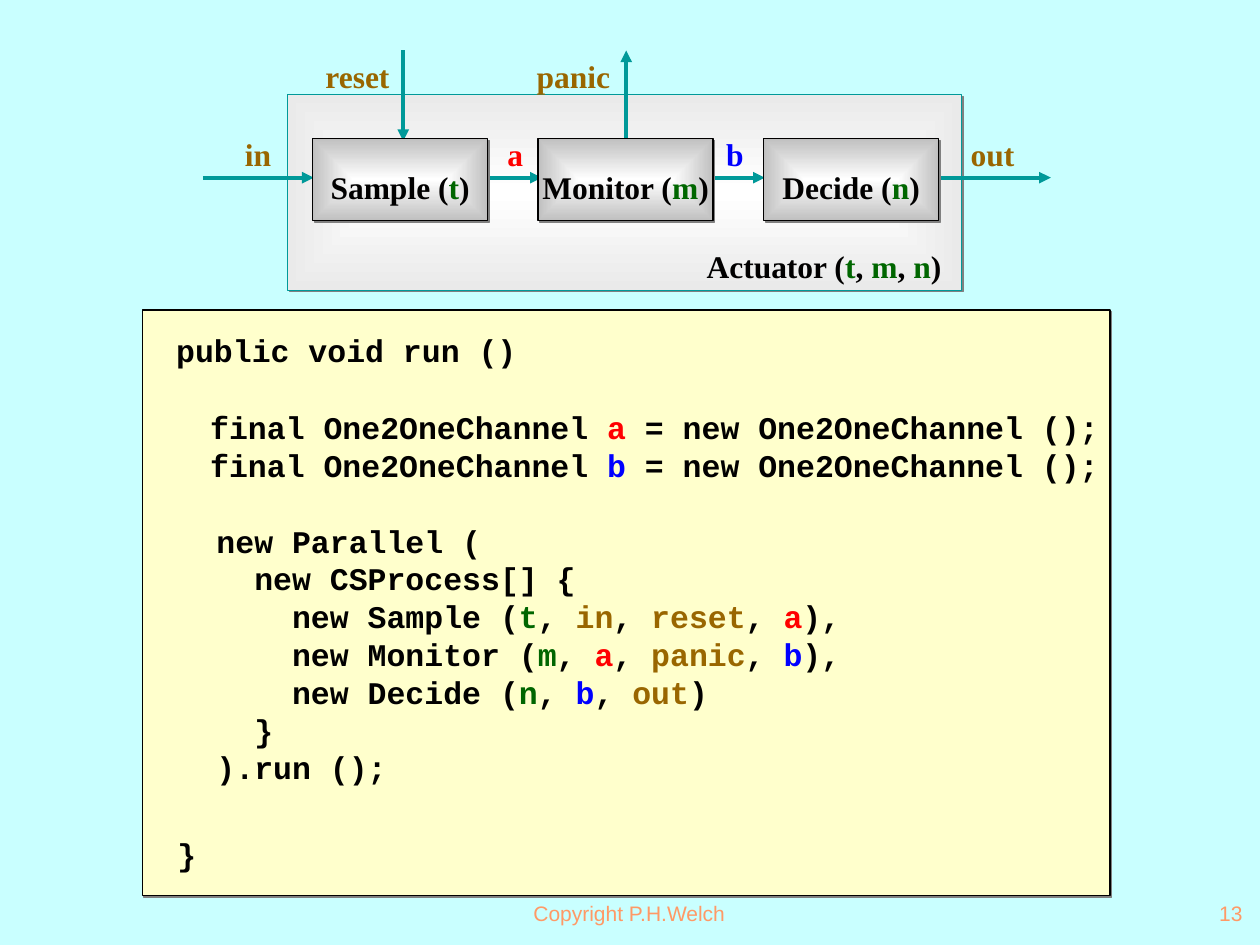
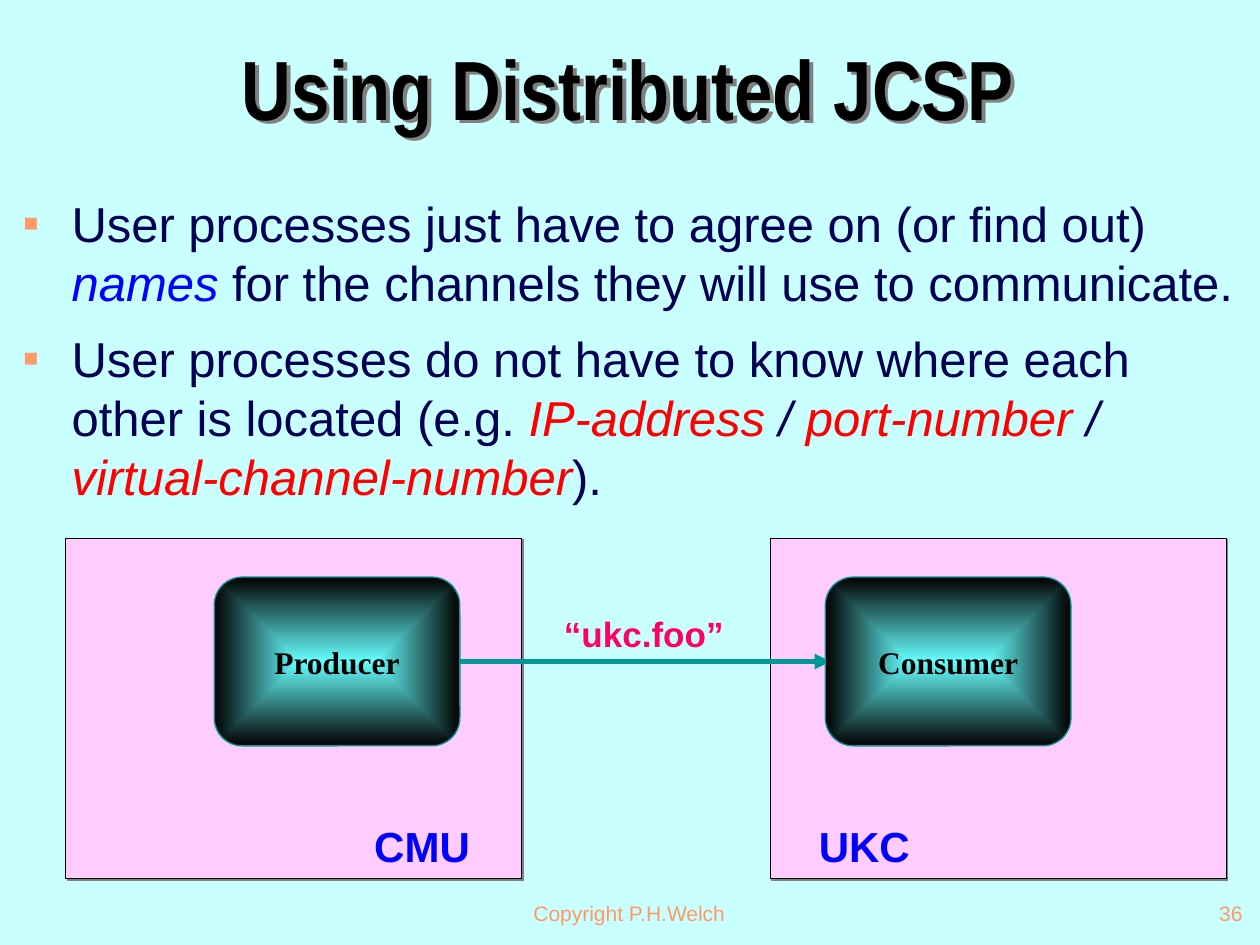
from lxml import etree
from pptx import Presentation
from pptx.dml.color import RGBColor
from pptx.enum import shapes, text
from pptx.oxml import ns, parse_xml
from pptx.util import Inches, Pt

COLOURS = {
    "sky": "C9FFFF", "ink": "010000", "teal": "009999", "orange": "FF9966",
    "green": "006600", "brown": "996600", "red": "FF0000", "blue": "0000FF",
    "navy": "000055", "pink": "FFCCFF", "magenta": "FF0066", "cream": "FFFFCC",
    "white": "FFFFFF", "mist": "EAEAEA", "silver": "C0C0C0", "cyan": "66FFFF",
    "shade": "808080",
}
SERIF, SANS, NARROW, MONO = "Times New Roman", "Arial", "Arial Narrow", "Courier New"
LEFT, CENTRE, RIGHT = text.PP_ALIGN.LEFT, text.PP_ALIGN.CENTER, text.PP_ALIGN.RIGHT
COPYRIGHT = "Copyright P.H.Welch"

# Words between bars take the colour listed here.
WORD_COLOURS = {
    "t": "green", "m": "green", "n": "green", "a": "red", "b": "blue",
    "in": "brown", "out": "brown", "reset": "brown", "panic": "brown",
    "names": "blue", "IP-address": "red", "port-number": "red",
    "virtual-channel-number": "red",
}

# Slide 13: the actuator network and its code
ACTUATOR = (2.28, 0.75, 5.35, 1.55)
ACTUATOR_NAME = "Actuator (|t|, |m|, |n|)"
STAGES = ["Sample (|t|)", "Monitor (|m|)", "Decide (|n|)"]
STAGE_LEFT, STAGE_TOP, STAGE_STEP, STAGE_SIZE = 2.48, 1.1, 1.79, (1.39, 0.65)
FLOW_Y = 1.41
FLOWS = [(1.61, 2.49), (3.86, 4.3), (5.63, 6.07), (7.31, 8.34)]
CONTROLS = [((3.2, 0.4), (3.2, 1.12)), ((4.97, 1.23), (4.97, 0.4))]
CHANNELS = [  # name, left, top, width
    ("in", 1.84, 1.02, 0.41), ("a", 3.92, 1.02, 0.33), ("b", 5.66, 1.02, 0.34),
    ("out", 7.6, 1.02, 0.55), ("reset", 2.47, 0.4, 0.72), ("panic", 4.15, 0.4, 0.79),
]
LISTING = (1.13, 2.46, 7.68, 4.65)
CODE_WIDTH = 8
CODE = [  # left, top, lines
    (1.3, 2.58, ["public void run ()"]),
    (1.27, 3.19, [
        "  final One2OneChannel |a| = new One2OneChannel ();",
        "  final One2OneChannel |b| = new One2OneChannel ();",
    ]),
    (1.32, 4.09, [
        "  new Parallel (",
        "    new CSProcess[] {",
        "      new Sample (|t|, |in|, |reset|, |a|),",
        "      new Monitor (|m|, |a|, |panic|, |b|),",
        "      new Decide (|n|, |b|, |out|)",
        "    }",
        "  ).run ();",
    ]),
    (1.31, 6.58, ["}"]),
]

# Slide 36: two sites joined by a named channel
TITLE = "Using Distributed JCSP"
BULLETS = [  # top, height, words
    (1.49, 1.22, "User processes just have to agree on (or find out) |names| "
                 "for the channels they will use to communicate."),
    (2.56, 1.55, "User processes do not have to know where each other is located (e.g. "
                 "|IP-address|| / ||port-number|| / ||virtual-channel-number|)."),
]
SITES = [  # site, its left, its name's left, process, process's left
    ("CMU", 0.52, 2.82, "Producer", 1.7),
    ("UKC", 6.11, 6.33, "Consumer", 6.55),
]
LINK_NAME = "“ukc.foo”"


def rgb(name):
    return RGBColor.from_string(COLOURS[name])


def inches(*lengths):
    return [Inches(length) for length in lengths]


def drawing(markup):
    """Parse markup, adding the drawing namespace to its first tag."""
    return parse_xml(markup.replace(">", f" {ns.nsdecls('a')}>", 1))


def shadow_effect(distance):
    return drawing(
        f'<a:effectLst><a:outerShdw dist="{Pt(distance)}" dir="2700000" algn="ctr" '
        f'rotWithShape="0"><a:srgbClr val="{COLOURS["shade"]}"/></a:outerShdw></a:effectLst>')


def write(frame, lines, size, font, colour="ink", bold=True, align=LEFT, italic=False):
    """Fill a text frame, one paragraph a line, colouring the words between bars."""
    for number, line in enumerate(lines):
        paragraph = frame.add_paragraph() if number else frame.paragraphs[0]
        paragraph.alignment = align
        for position, words in enumerate(line.split("|")):
            if not words:
                continue
            marked = position % 2 == 1
            run = paragraph.add_run()
            run.text = words
            run.font.size, run.font.name, run.font.bold = Pt(size), font, bold
            run.font.italic = italic and marked
            run.font.color.rgb = rgb(WORD_COLOURS.get(words, colour) if marked else colour)


def add_label(slide, box, lines, size=18, font=SERIF, wrap=False, middle=False, **style):
    label = slide.shapes.add_textbox(*inches(*box))
    frame = label.text_frame
    frame.word_wrap = wrap
    if middle:
        frame.vertical_anchor = text.MSO_ANCHOR.MIDDLE
    write(frame, lines, size, font, **style)
    return label


def add_block(slide, box, fill, line, width, rounded=False, shadow=True):
    """Add a box; a pair of fill colours makes a gradient from centre to edge."""
    kind = shapes.MSO_SHAPE.ROUNDED_RECTANGLE if rounded else shapes.MSO_SHAPE.RECTANGLE
    block = slide.shapes.add_shape(kind, *inches(*box))
    block.line.color.rgb, block.line.width = rgb(line), Pt(width)
    block.shadow.inherit = False
    properties = block._element.spPr
    if isinstance(fill, tuple):
        centre, edge = (COLOURS[name] for name in fill)
        properties.find(ns.qn("a:prstGeom")).addnext(drawing(
            f'<a:gradFill><a:gsLst><a:gs pos="0"><a:srgbClr val="{centre}"/></a:gs>'
            f'<a:gs pos="100000"><a:srgbClr val="{edge}"/></a:gs></a:gsLst>'
            '<a:path path="rect"><a:fillToRect l="50000" t="50000" r="50000" b="50000"/>'
            '</a:path></a:gradFill>'))
    else:
        block.fill.solid()
        block.fill.fore_color.rgb = rgb(fill)
    if shadow:
        properties.replace(properties.find(ns.qn("a:effectLst")), shadow_effect(1.4))
    return block


def name_block(block, name, top_inset=0.05):
    frame = block.text_frame
    frame.word_wrap = False
    frame.margin_top = Inches(top_inset)
    frame.vertical_anchor = text.MSO_ANCHOR.MIDDLE
    write(frame, [name], 18, SERIF, align=CENTRE)


def add_arrow(slide, start, end, width=2.25):
    arrow = slide.shapes.add_connector(
        shapes.MSO_CONNECTOR.STRAIGHT, *inches(*start, *end))
    arrow.line.color.rgb, arrow.line.width = rgb("teal"), Pt(width)
    etree.SubElement(arrow.line._get_or_add_ln(), ns.qn("a:tailEnd"), type="triangle")
    etree.SubElement(arrow._element.spPr, ns.qn("a:effectLst"))


def add_title(slide, words):
    """Add the title; its box has no fill, so the letters cast the shadow."""
    title = add_label(slide, (0.24, 0.27, 9.49, 1.03), [words], 48, NARROW,
                      wrap=True, middle=True, align=CENTRE)
    title.text_frame.paragraphs[0].line_spacing = 0.7
    title._element.spPr.append(shadow_effect(3))


def add_bullet(slide, top, height, words):
    bullet = add_label(slide, (0.09, top, 9.87, height), [words], 28, SANS, wrap=True,
                       colour="navy", bold=False, italic=True)
    properties = bullet.text_frame.paragraphs[0]._p.get_or_add_pPr()
    properties.set("marL", str(Inches(0.38)))
    properties.set("indent", str(-Inches(0.38)))
    for markup in (f'<a:buClr><a:srgbClr val="{COLOURS["orange"]}"/></a:buClr>',
                   '<a:buSzPct val="50000"></a:buSzPct>',
                   '<a:buFont typeface="Arial"></a:buFont>',
                   '<a:buChar char="■"></a:buChar>'):
        properties.append(drawing(markup))


def add_page(deck, number):
    """Add a slide with the shared background and footer."""
    slide = deck.slides.add_slide(deck.slide_layouts[6])
    slide.background.fill.solid()
    slide.background.fill.fore_color.rgb = rgb("sky")
    for left, width, words, align in ((3.41, 3.17, COPYRIGHT, CENTRE),
                                      (7.88, 2.08, str(number), RIGHT)):
        add_label(slide, (left, 7, width, 0.5), [words], 12, SANS, wrap=True, middle=True,
                  colour="orange", bold=False, align=align)
    return slide


def build_actuator(deck):
    slide = add_page(deck, 13)
    add_block(slide, ACTUATOR, ("white", "mist"), "teal", 0.25)
    add_label(slide, (5.5, 1.91, 2.07, 0.4), [ACTUATOR_NAME], align=RIGHT)
    for start, end in FLOWS:
        add_arrow(slide, (start, FLOW_Y), (end, FLOW_Y))
    for start, end in CONTROLS:
        add_arrow(slide, start, end)
    for number, stage in enumerate(STAGES):
        box = (STAGE_LEFT + number * STAGE_STEP, STAGE_TOP, *STAGE_SIZE)
        name_block(add_block(slide, box, ("white", "silver"), "ink", 0.75), stage, 0.16)
    for channel, left, top, width in CHANNELS:
        add_label(slide, (left, top, width, 0.4), [f"|{channel}|"], align=RIGHT)
    add_block(slide, LISTING, "cream", "ink", 0.75)
    for left, top, lines in CODE:
        add_label(slide, (left, top, CODE_WIDTH, 0.1 + 0.3 * len(lines)), lines, font=MONO)


def build_distributed(deck):
    slide = add_page(deck, 36)
    add_title(slide, TITLE)
    for bullet in BULLETS:
        add_bullet(slide, *bullet)
    for _, left, *_ in SITES:
        add_block(slide, (left, 4.27, 3.62, 2.7), "pink", "ink", 0.25)
    add_label(slide, (3.52, 4.81, 3.18, 0.43), [LINK_NAME], 20, SANS,
              colour="magenta", align=CENTRE, wrap=True)
    add_arrow(slide, (2.47, 5.25), (6.59, 5.25), 3)
    for site, _, name_left, process, process_left in SITES:
        add_label(slide, (name_left, 6.46, 1.06, 0.5), [site], 24, SANS,
                  colour="blue", align=CENTRE, wrap=True)
        name_block(add_block(slide, (process_left, 4.58, 1.95, 1.34), ("cyan", "ink"),
                             "teal", 0.75, rounded=True, shadow=False), process)


def main():
    deck = Presentation()
    deck.slide_width, deck.slide_height = inches(10, 7.5)
    build_actuator(deck)
    build_distributed(deck)
    deck.save("out.pptx")


if __name__ == "__main__":
    main()
